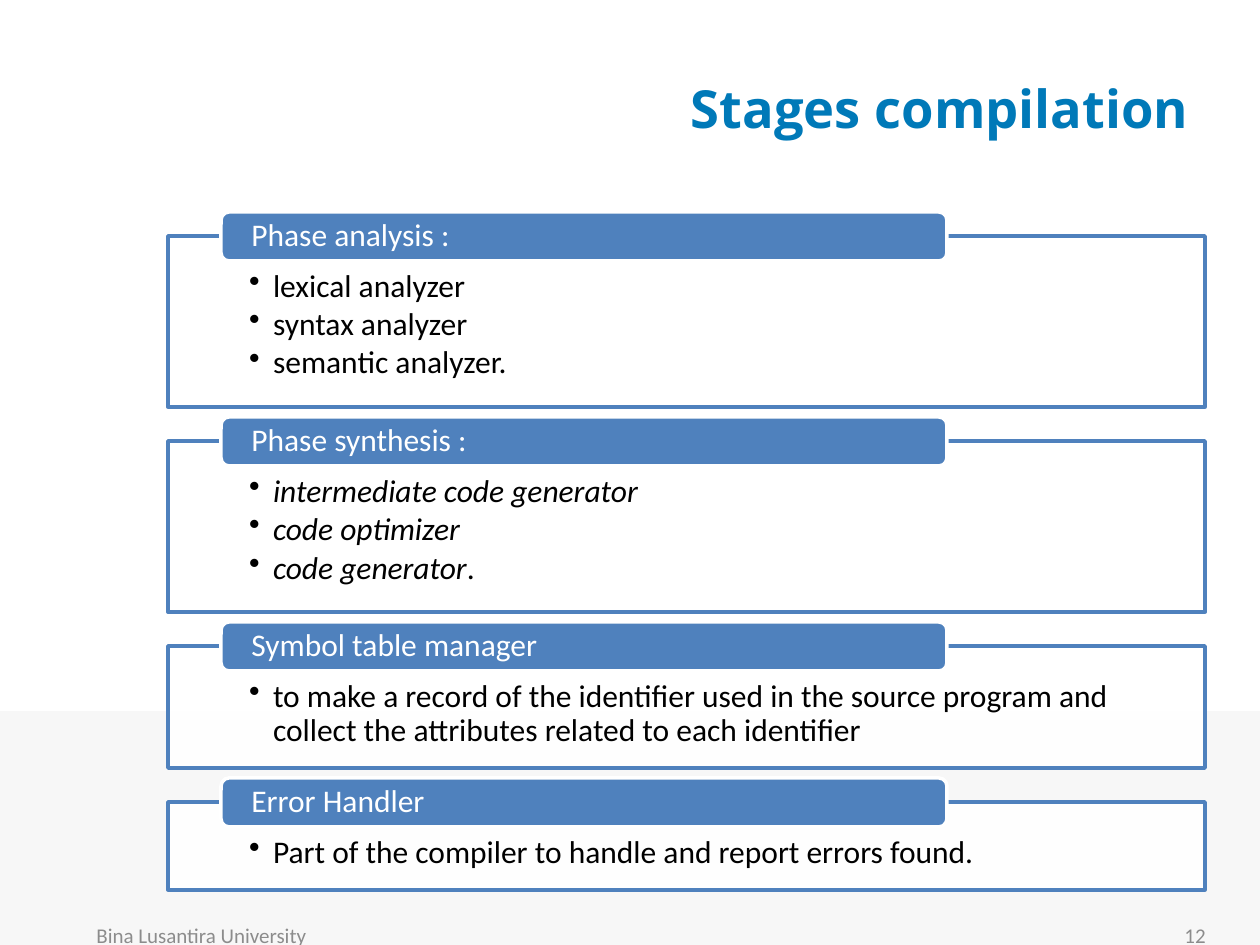
from lxml import etree
from pptx import Presentation
from pptx import util as u
from pptx.dml.color import RGBColor
from pptx.enum import shapes, text
from pptx.oxml.ns import qn

PX = 914400 / 126
BLUE = RGBColor(0x4F, 0x81, 0xBD)
TITLE_BLUE = RGBColor(0x00, 0x79, 0xB8)
WHITE = RGBColor(0xFF, 0xFF, 0xFF)
BLACK = RGBColor(0, 0, 0)
GRAY = RGBColor(0x8C, 0x8C, 0x8C)
PALE = RGBColor(0xF7, 0xF7, 0xF7)

BOX_LEFT, BOX_WIDTH = 168, 1037
TAB_LEFT, TAB_WIDTH, TAB_HEIGHT, TAB_RISE = 221, 726, 49, 24
FIRST_TOP, GAP = 236, 34
LEFT, RIGHT = text.PP_ALIGN.LEFT, text.PP_ALIGN.RIGHT

STAGES = [
    ("Phase analysis :", 171, [
        [("lexical analyzer", False)],
        [("syntax analyzer", False)],
        [("semantic analyzer.", False)],
    ]),
    ("Phase synthesis :", 171, [
        [("intermediate code generator", True)],
        [("code optimizer", True)],
        [("code generator", True), (".", False)],
    ]),
    ("Symbol table manager", 122, [
        [("to make a record of the identifier used in the source program and "
          "collect the attributes related to each identifier", False)],
    ]),
    ("Error Handler", 88, [
        [("Part of the compiler to handle and report errors found.", False)],
    ]),
]

LABELS = [
    ("Stages compilation", (258, 53, 943, 110), RIGHT, "Open Sans", 30, TITLE_BLUE, True),
    ("Bina Lusantira University", (84, 910, 294, 50), LEFT, "Calibri", 12, GRAY, False),
    ("12", (924, 910, 294, 50), RIGHT, "Calibri", 12, GRAY, False),
]


def add_block(kind, bounds, fill, line, insets):
    block = page.shapes.add_shape(kind, *(round(n * PX) for n in bounds))
    block.shadow.inherit = False
    block.fill.solid()
    block.fill.fore_color.rgb = fill
    if line is None:
        block.line.fill.background()
    else:
        block.line.color.rgb = line
        block.line.width = u.Pt(2)
    frame = block.text_frame
    frame.word_wrap = True
    frame.margin_left, frame.margin_top, frame.margin_right, frame.margin_bottom = (
        round(n * PX) for n in insets)
    return block


def add_span(para, words, size, color, font="Calibri", bold=False, italic=False):
    span = para.add_run()
    span.text = words
    span.font.name = font
    span.font.size = u.Pt(size)
    span.font.color.rgb = color
    span.font.bold = bold
    span.font.italic = italic


deck = Presentation()
deck.slide_width, deck.slide_height = u.Inches(10), u.Inches(7.5)
page = deck.slides.add_slide(deck.slide_layouts[6])

add_block(shapes.MSO_SHAPE.RECTANGLE, (0, 711, 1260, 234), PALE, None, (0, 0, 0, 0))

top = FIRST_TOP
for heading, height, items in STAGES:
    box = add_block(shapes.MSO_SHAPE.RECTANGLE, (BOX_LEFT, top, BOX_WIDTH, height),
                    WHITE, BLUE, (81, 34, 81, 18))
    fill_color = box.fill._xPr.find(qn("a:solidFill")).find(qn("a:srgbClr"))
    etree.SubElement(fill_color, qn("a:alpha"), val="90000")
    frame = box.text_frame
    frame.vertical_anchor = text.MSO_ANCHOR.TOP
    for index, spans in enumerate(items):
        para = frame.add_paragraph() if index else frame.paragraphs[0]
        para.alignment = LEFT
        para.line_spacing = 0.9
        para.space_after = u.Pt(2.5)
        props = para._p.get_or_add_pPr()
        props.set("marL", str(round(24 * PX)))
        props.set("indent", str(round(-24 * PX)))
        etree.SubElement(props, qn("a:buChar"), char="•")
        for words, italic in spans:
            add_span(para, words, 18, BLACK, italic=italic)

    tab = add_block(shapes.MSO_SHAPE.ROUNDED_RECTANGLE,
                    (TAB_LEFT, top - TAB_RISE, TAB_WIDTH, TAB_HEIGHT),
                    BLUE, WHITE, (28, 0, 28, 0))
    tab.text_frame.vertical_anchor = text.MSO_ANCHOR.MIDDLE
    para = tab.text_frame.paragraphs[0]
    para.alignment = LEFT
    para.line_spacing = 0.9
    add_span(para, heading, 18, WHITE)
    top += height + GAP

for words, bounds, align, font, size, color, bold in LABELS:
    label = page.shapes.add_textbox(*(round(n * PX) for n in bounds))
    label.text_frame.word_wrap = True
    label.text_frame.vertical_anchor = text.MSO_ANCHOR.MIDDLE
    para = label.text_frame.paragraphs[0]
    para.alignment = align
    add_span(para, words, size, color, font, bold)

deck.save("out.pptx")
